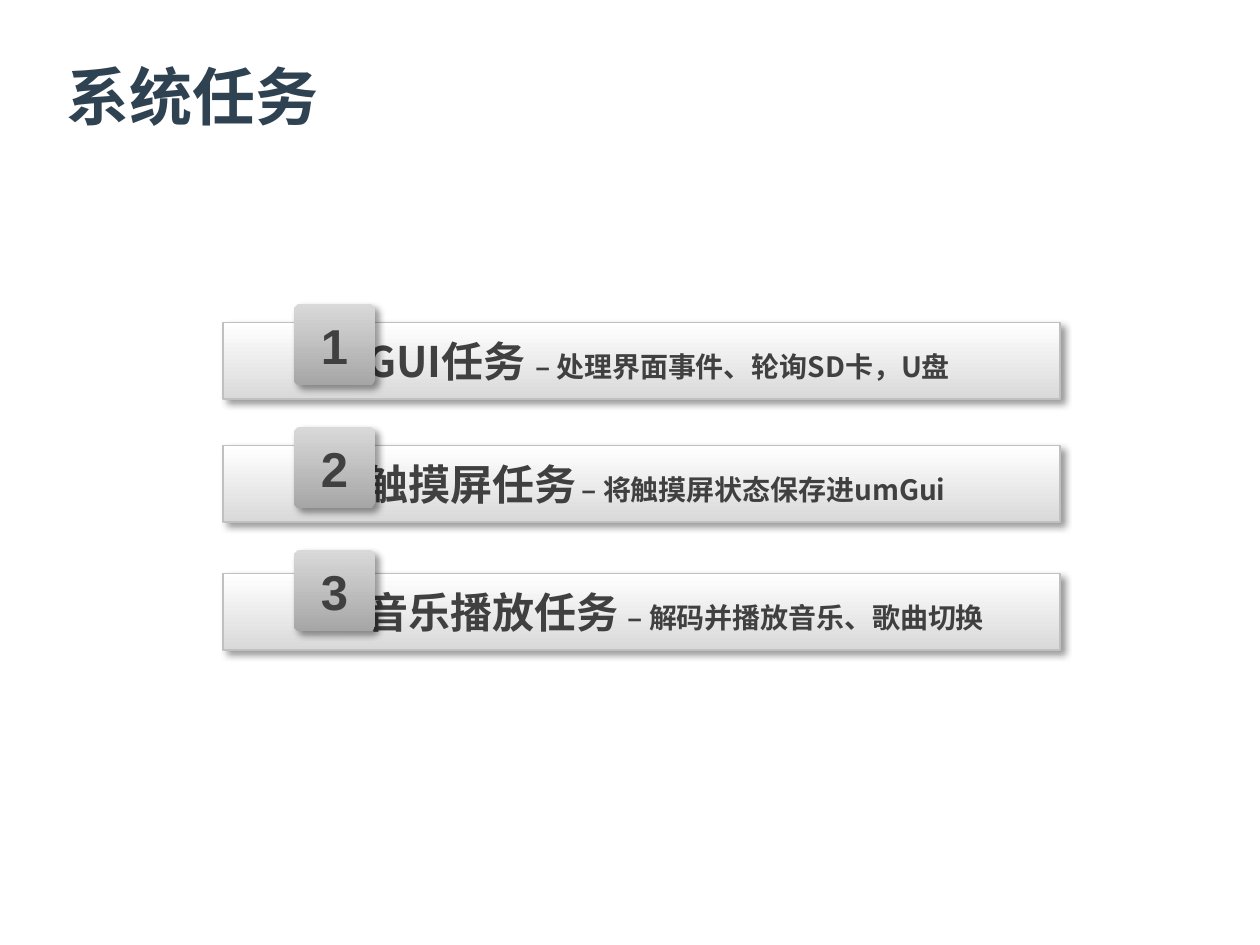
from dataclasses import dataclass

from lxml import etree
from pptx import Presentation
from pptx.dml.color import RGBColor as RGB
from pptx.enum.shapes import MSO_SHAPE as Shape
from pptx.enum.text import MSO_ANCHOR as Anchor, PP_ALIGN as Align
from pptx.oxml import parse_xml
from pptx.oxml.ns import nsdecls, qn
from pptx.util import Cm, Pt


@dataclass(frozen=True)
class Theme:
    title: str = "2F4251"
    text: str = "404040"
    border: str = "C0C0C0"
    bar: tuple = ("FFFFFF", "D9D9D9")
    badge: tuple = ("D9D9D9", "A6A6A6")
    latin: str = "Arial"
    cjk: str = "Noto Sans CJK SC"
    title_size: int = 36
    number_size: int = 28
    name_size: int = 24
    detail_size: int = 16
    gap_size: int = 14


THEME = Theme()

TASKS = [
    [("GUI任务 ", THEME.name_size),
     ("– 处理界面事件、轮询SD卡，U盘", THEME.detail_size)],
    [("触摸屏任务", THEME.name_size), (" ", THEME.gap_size),
     ("– 将触摸屏状态保存进umGui", THEME.detail_size)],
    [("音乐播放任务 ", THEME.name_size),
     ("– 解码并播放音乐、歌曲切换", THEME.detail_size)],
]
BAR_DROPS = [0.38, 0.38, 0.48]


def style_run(r, size, color, font):
    r.font.size = Pt(size)
    r.font.bold = True
    r.font.name = font
    r.font.color.rgb = RGB.from_string(color)
    ea = etree.SubElement(r.font._element, qn("a:ea"))
    ea.set("typeface", THEME.cjk)


def add_panel(group, kind, box, colors):
    sp = group.shapes.add_shape(kind, *map(Cm, box))
    sp.fill.gradient()
    sp.fill.gradient_angle = 270
    for stop, color in zip(sp.fill.gradient_stops, colors):
        stop.color.rgb = RGB.from_string(color)
    sp.line.fill.background()
    sp.shadow.inherit = False
    effects = sp._element.spPr.find(qn("a:effectLst"))
    effects.append(parse_xml(
        f'<a:outerShdw {nsdecls("a")} blurRad="{Pt(4)}" dist="{Pt(3)}" '
        'dir="2700000" algn="tl" rotWithShape="0"><a:srgbClr val="000000">'
        '<a:alpha val="40000"/></a:srgbClr></a:outerShdw>'))
    sp.text_frame.vertical_anchor = Anchor.MIDDLE
    return sp


def add_title(slide, left, top, width, height):
    tf = slide.shapes.add_textbox(*map(Cm, (left, top, width, height))).text_frame
    tf.word_wrap = True
    tf.vertical_anchor = Anchor.MIDDLE
    tf.text = "系统任务"
    style_run(tf.paragraphs[0].runs[0], THEME.title_size, THEME.title, THEME.latin)


def add_task(slide, left, top, width, number, parts, drop):
    group = slide.shapes.add_group_shape()
    bar = add_panel(group, Shape.RECTANGLE, (left, top + drop, width, 1.55), THEME.bar)
    bar.line.color.rgb = RGB.from_string(THEME.border)
    bar.line.width = Pt(1)
    tf = bar.text_frame
    tf.margin_left, tf.margin_right = Cm(2.88), Cm(0.6)
    tf.margin_top = tf.margin_bottom = Cm(0.1)
    p = tf.paragraphs[0]
    p.alignment = Align.LEFT
    for text, size in parts:
        r = p.add_run()
        r.text = text
        style_run(r, size, THEME.text, THEME.cjk)

    badge = add_panel(group, Shape.ROUNDED_RECTANGLE,
                      (left + 1.42, top, 1.65, 1.65), THEME.badge)
    badge.adjustments[0] = 0.09
    p = badge.text_frame.paragraphs[0]
    p.text = str(number)
    p.alignment = Align.CENTER
    style_run(p.runs[0], THEME.number_size, THEME.text, THEME.latin)


def add_task_list(slide, left, top, width, pitch):
    for i, (parts, drop) in enumerate(zip(TASKS, BAR_DROPS)):
        add_task(slide, left, top + i * pitch, width, i + 1, parts, drop)


def main():
    prs = Presentation()
    prs.slide_width, prs.slide_height = Cm(25.4), Cm(19.05)
    slide = prs.slides.add_slide(prs.slide_layouts[6])
    add_title(slide, 1.1, 0.33, 23, 3.18)
    add_task_list(slide, 4.5, 6.12, 16.87, 2.48)
    prs.save("out.pptx")


if __name__ == "__main__":
    main()
